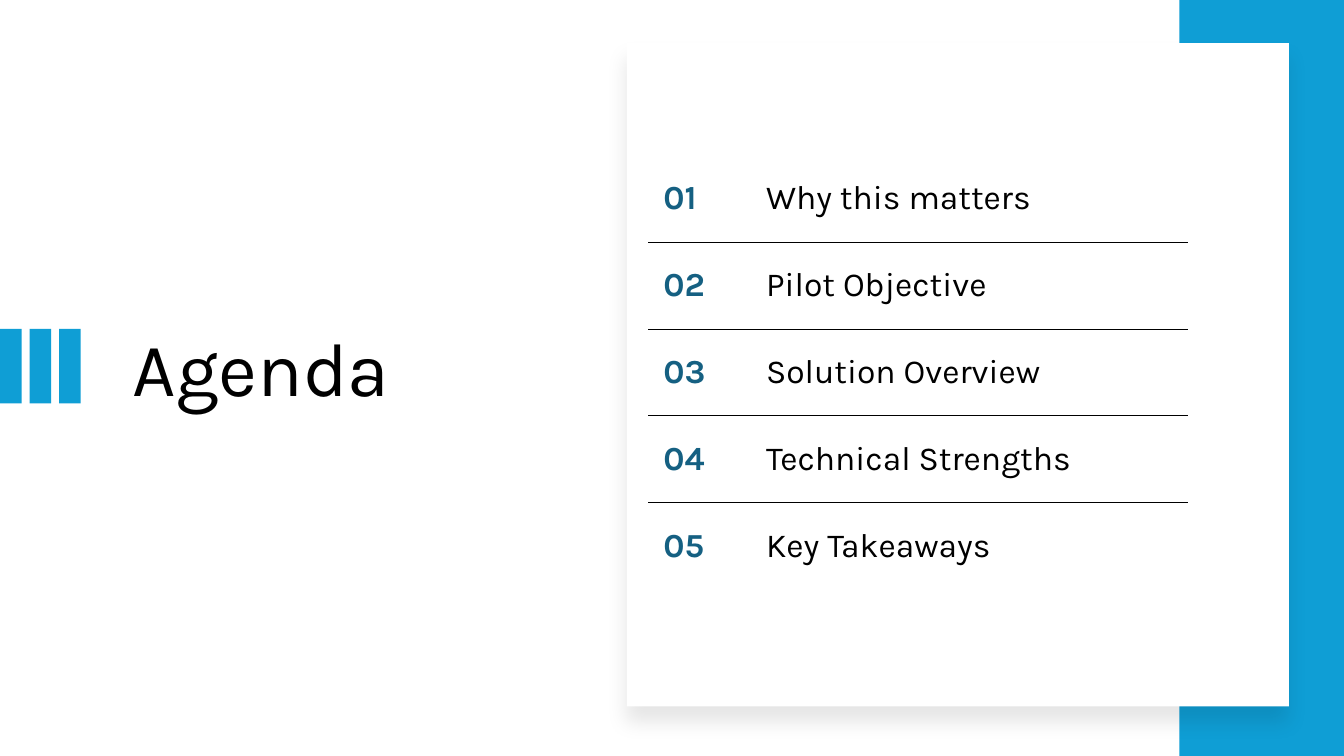
from lxml import etree
from pptx import Presentation
from pptx.dml.color import RGBColor
from pptx.enum.shapes import MSO_SHAPE
from pptx.enum.text import MSO_ANCHOR
from pptx.oxml.ns import qn
from pptx.util import Pt

RECTANGLE = MSO_SHAPE.RECTANGLE
MIDDLE = MSO_ANCHOR.MIDDLE
BLUE = RGBColor(0x0F, 0x9E, 0xD5)
TEAL = RGBColor(0x15, 0x60, 0x82)
BLACK = RGBColor(0, 0, 0)
WHITE = RGBColor(255, 255, 255)
TOPICS = ["Why this matters", "Pilot Objective", "Solution Overview",
          "Technical Strengths", "Key Takeaways"]


class AgendaSlide:
    """Holds the style and draws the elements of one agenda slide."""

    font = "Karla"
    inset = Pt(10.8)

    def __init__(self, slide):
        self.slide = slide

    def add_text(self, paragraph, text, size, color, bold=False):
        run = paragraph.add_run()
        run.text = text
        run.font.name = self.font
        run.font.size = Pt(size)
        run.font.bold = bold
        run.font.color.rgb = color

    def block(self, left, top, width, height, color):
        block = self.slide.shapes.add_shape(
            RECTANGLE, Pt(left), Pt(top), Pt(width), Pt(height))
        block.fill.solid()
        block.fill.fore_color.rgb = color
        block.line.fill.background()
        block.shadow.inherit = False
        return block

    def card(self, left, top, width, height):
        card = self.block(left, top, width, height, WHITE)
        effects = card._element.spPr.find(qn("a:effectLst"))
        shadow = etree.SubElement(
            effects, qn("a:outerShdw"), blurRad=str(Pt(15)), dist=str(Pt(11)),
            dir="5400000", algn="t", rotWithShape="0")
        tint = etree.SubElement(shadow, qn("a:srgbClr"), val=str(BLACK))
        etree.SubElement(tint, qn("a:alpha"), val="10000")

    def title(self, left, top, width, height, text):
        frame = self.slide.shapes.add_textbox(
            Pt(left), Pt(top), Pt(width), Pt(height)).text_frame
        frame.word_wrap = True
        heading = frame.paragraphs[0]
        heading.line_spacing = 0.9
        self.add_text(heading, text, 54, BLACK)

    def border(self, cell, side, visible):
        line = etree.Element(qn(f"a:ln{side}"), w=str(Pt(0.5)))
        if visible:
            fill = etree.SubElement(line, qn("a:solidFill"))
            etree.SubElement(fill, qn("a:srgbClr"), val=str(BLACK))
        else:
            etree.SubElement(line, qn("a:noFill"))
        cell._tc.get_or_add_tcPr().append(line)

    def entry(self, cell, text, color, bold, first, last):
        cell.vertical_anchor = MIDDLE
        cell.margin_left = cell.margin_right = self.inset
        cell.margin_top = cell.margin_bottom = self.inset
        self.add_text(cell.text_frame.paragraphs[0], text, 24, color, bold)
        for side, visible in (("L", False), ("R", False),
                              ("T", not first), ("B", not last)):
            self.border(cell, side, visible)
        cell.fill.background()

    def agenda(self, left, top, widths, row_height, topics):
        table = self.slide.shapes.add_table(
            len(topics), len(widths), Pt(left), Pt(top),
            Pt(sum(widths)), Pt(row_height * len(topics))).table
        table.first_row = table.horz_banding = False
        for column, width in zip(table.columns, widths):
            column.width = Pt(width)
        for index, topic in enumerate(topics):
            table.rows[index].height = Pt(row_height)
            ends = index == 0, index == len(topics) - 1
            self.entry(table.cell(index, 0), f"{index + 1:02}", TEAL, True, *ends)
            self.entry(table.cell(index, 1), topic, BLACK, False, *ends)


def main():
    deck = Presentation()
    deck.slide_width, deck.slide_height = Pt(960), Pt(540)
    page = AgendaSlide(deck.slides.add_slide(deck.slide_layouts[6]))
    page.title(87.8, 233.3, 317.5, 188, "Agenda")
    for bar in range(3):
        page.block(bar * 21.1, 235, 15.4, 53.2, BLUE)
    page.block(842.4, 0, 117.6, 540, BLUE)
    page.card(447.8, 30.8, 473, 473.8)
    page.agenda(463, 110.9, (73.4, 312.5), 62.05, TOPICS)
    deck.save("out.pptx")


if __name__ == "__main__":
    main()
